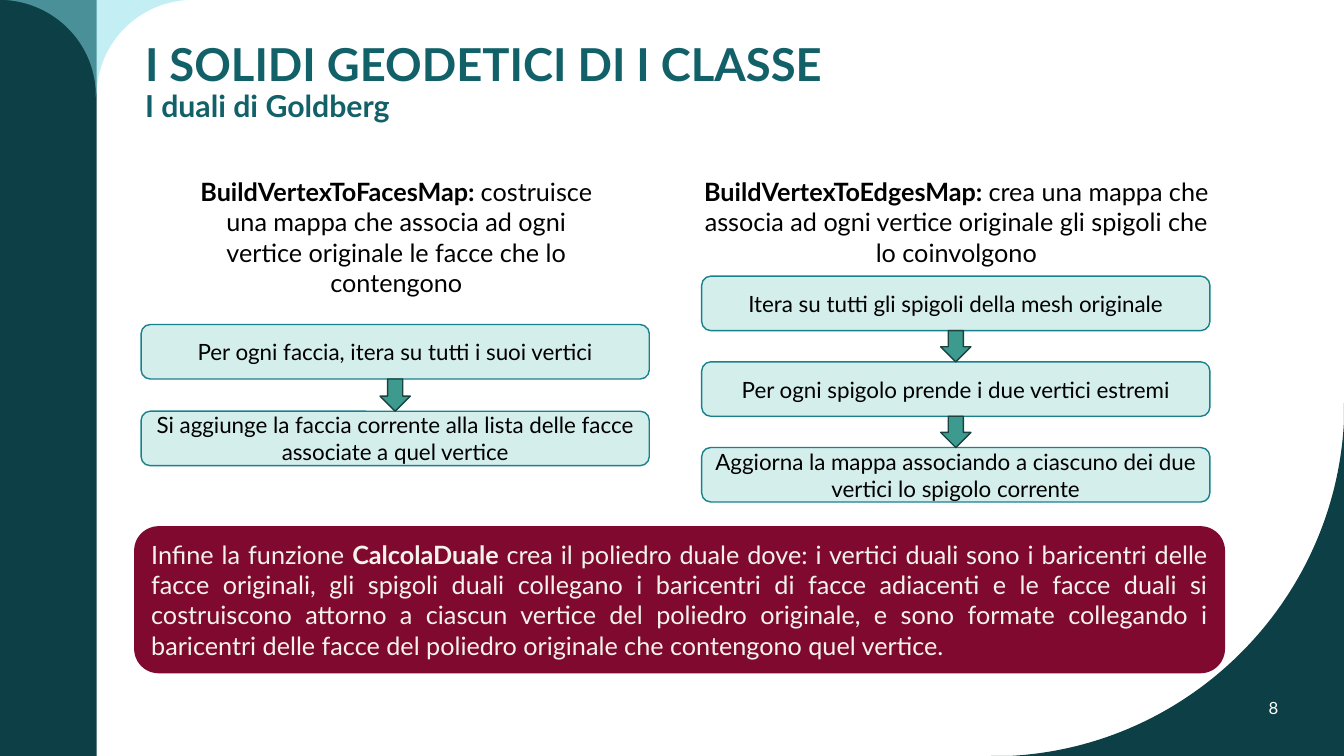
from dataclasses import dataclass

from lxml.etree import SubElement
from pptx import Presentation
from pptx.dml.color import RGBColor
from pptx.enum.shapes import MSO_SHAPE as Shape
from pptx.enum.text import MSO_ANCHOR as Anchor, PP_ALIGN as Align
from pptx.oxml.ns import qn
from pptx.util import Inches, Pt

FONT = "Lato"
DARK, TEAL, AQUA = "0C4046", "126169", "89E1EB"
STEP_FILL, STEP_LINE = "D4EEEB", "18818C"
ARROW_FILL, ARROW_LINE = "3C9A8F", "1A433F"
WINE, CREAM, BLACK, WHITE = "800A2F", "F4F2EC", "000000", "FFFFFF"
STEP_W, STEP_H = 5.04, 0.54
ARROW_W = 0.3


@dataclass
class Procedure:
    name: str
    purpose: str
    intro_left: float
    intro_width: float
    steps_left: float
    steps_top: float
    pitch: float
    steps: list[str]


PROCEDURES = [
    Procedure("BuildVertexToFacesMap: ",
              "costruisce una mappa che associa ad ogni vertice originale le facce che lo contengono",
              1.77, 4.32, 1.4, 3.22, 0.86,
              ["Per ogni faccia, itera su tutti i suoi vertici",
               "Si aggiunge la faccia corrente alla lista delle facce associate a quel vertice"]),
    Procedure("BuildVertexToEdgesMap: ",
              "crea una mappa che associa ad ogni vertice originale gli spigoli che lo coinvolgono",
              6.82, 5.33, 6.96, 2.74, 0.85,
              ["Itera su tutti gli spigoli della mesh originale",
               "Per ogni spigolo prende i due vertici estremi",
               "Aggiorna la mappa associando a ciascuno dei due vertici lo spigolo corrente"]),
]


def rgb(color: str) -> RGBColor:
    return RGBColor.from_string(color)


def paint(shape, fill: str, line: str | None = None) -> None:
    shape.shadow.inherit = False
    shape.fill.solid()
    shape.fill.fore_color.rgb = rgb(fill)
    if line:
        shape.line.color.rgb = rgb(line)
        shape.line.width = Pt(1)
    else:
        shape.line.fill.background()


def add_block(slide, kind, box: tuple, fill: str, line: str | None = None):
    block = slide.shapes.add_shape(kind, *map(Inches, box))
    paint(block, fill, line)
    return block


def add_text_box(slide, box: tuple):
    return slide.shapes.add_textbox(*map(Inches, box))


def write(shape, parts: list[tuple[str, bool]], size: float, color: str,
          align=Align.CENTER, anchor=Anchor.MIDDLE):
    """Fill a shape with one paragraph made of (text, bold) parts."""
    frame = shape.text_frame
    frame.word_wrap = True
    frame.vertical_anchor = anchor
    paragraph = frame.paragraphs[0]
    paragraph.alignment = align
    font = paragraph.font
    font.name, font.size, font.color.rgb = FONT, Pt(size), rgb(color)
    for text, bold in parts:
        run = paragraph.add_run()
        run.text = text
        run.font.bold = bold
    return paragraph


def add_outline(slide, points: list[tuple[float, float]], curves: list[int], fill: str):
    """Draw a closed outline; each index in curves starts the three points of a Bézier curve."""
    start, *others = [(100 * x, 100 * y) for x, y in points]
    builder = slide.shapes.build_freeform(*start, scale=Inches(0.01))
    builder.add_line_segments(others, close=True)
    outline = builder.convert_to_shape()
    paint(outline, fill)
    segments = list(outline._element.iter(qn("a:lnTo")))
    for first in curves:
        bend, *tail = segments[first - 1:first + 2]
        curve = bend.makeelement(qn("a:cubicBezTo"))
        bend.addprevious(curve)
        for segment in (bend, *tail):
            curve.append(segment[0])
            segment.getparent().remove(segment)
    return outline


def add_background(slide) -> None:
    add_outline(slide, [(13.33, 4), (13.33, 7.5), (9.83, 7.5), (10.01, 7.5),
                        (11.8, 7.41), (13.24, 5.97), (13.33, 4.18)], [4], DARK)
    add_block(slide, Shape.RECTANGLE, (0, 0, 0.96, 7.5), DARK)
    corner = add_outline(slide, [(1.91, 0), (1.86, 0), (1.37, 0.03), (0.98, 0.42), (0.96, 0.91),
                                 (0.95, 0.96), (0.95, 0.91), (0.93, 0.42), (0.54, 0.03), (0.05, 0),
                                 (0, 0), (0.95, 0)], [2, 7], AQUA)
    tint = corner._element.spPr.find(qn("a:solidFill"))[0]
    SubElement(tint, qn("a:alpha"), val="50000")


def add_procedure(slide, procedure: Procedure) -> None:
    intro = add_text_box(slide, (procedure.intro_left, 1.7, procedure.intro_width, 1.31))
    write(intro, [(procedure.name, True), (procedure.purpose, False)], 18, BLACK, anchor=Anchor.TOP)
    arrow_left = procedure.steps_left + (STEP_W - ARROW_W) / 2
    gap = procedure.pitch - STEP_H
    for index, text in enumerate(procedure.steps):
        top = procedure.steps_top + index * procedure.pitch
        step = add_block(slide, Shape.ROUNDED_RECTANGLE,
                         (procedure.steps_left, top, STEP_W, STEP_H), STEP_FILL, STEP_LINE)
        write(step, [(text, False)], 16, BLACK)
        if index:
            add_block(slide, Shape.DOWN_ARROW, (arrow_left, top - gap, ARROW_W, gap),
                      ARROW_FILL, ARROW_LINE)


def main() -> None:
    deck = Presentation()
    deck.slide_width, deck.slide_height = Inches(13.33), Inches(7.5)
    slide = deck.slides.add_slide(deck.slide_layouts[6])
    add_background(slide)

    # Title and subtitle
    heading = write(add_text_box(slide, (1.34, 0.42, 7.24, 0.81)),
                    [("I SOLIDI GEODETICI DI I CLASSE", True)], 32.4, TEAL, Align.LEFT)
    heading.line_spacing = 0.9
    heading.add_line_break()
    subtitle = heading.add_run()
    subtitle.text = "I duali di Goldberg"
    subtitle.font.size, subtitle.font.bold = Pt(21.6), True

    # The two map-building procedures
    for procedure in PROCEDURES:
        add_procedure(slide, procedure)

    # Conclusion and page number
    conclusion = add_block(slide, Shape.FLOWCHART_ALTERNATE_PROCESS, (1.33, 5.22, 10.82, 1.46), WINE)
    write(conclusion, [
        ("Infine la funzione ", False),
        ("CalcolaDuale ", True),
        ("crea il poliedro duale dove: i vertici duali sono i baricentri delle facce originali, "
         "gli spigoli duali collegano i baricentri di facce adiacenti e le facce duali si "
         "costruiscono attorno a ciascun vertice del poliedro originale, e sono formate collegando "
         "i baricentri delle facce del poliedro originale che contengono quel vertice.", False),
    ], 18, CREAM, Align.JUSTIFY)
    write(add_text_box(slide, (11.92, 6.54, 1.42, 0.96)), [("8", False)], 12, WHITE)

    deck.save("out.pptx")


if __name__ == "__main__":
    main()
